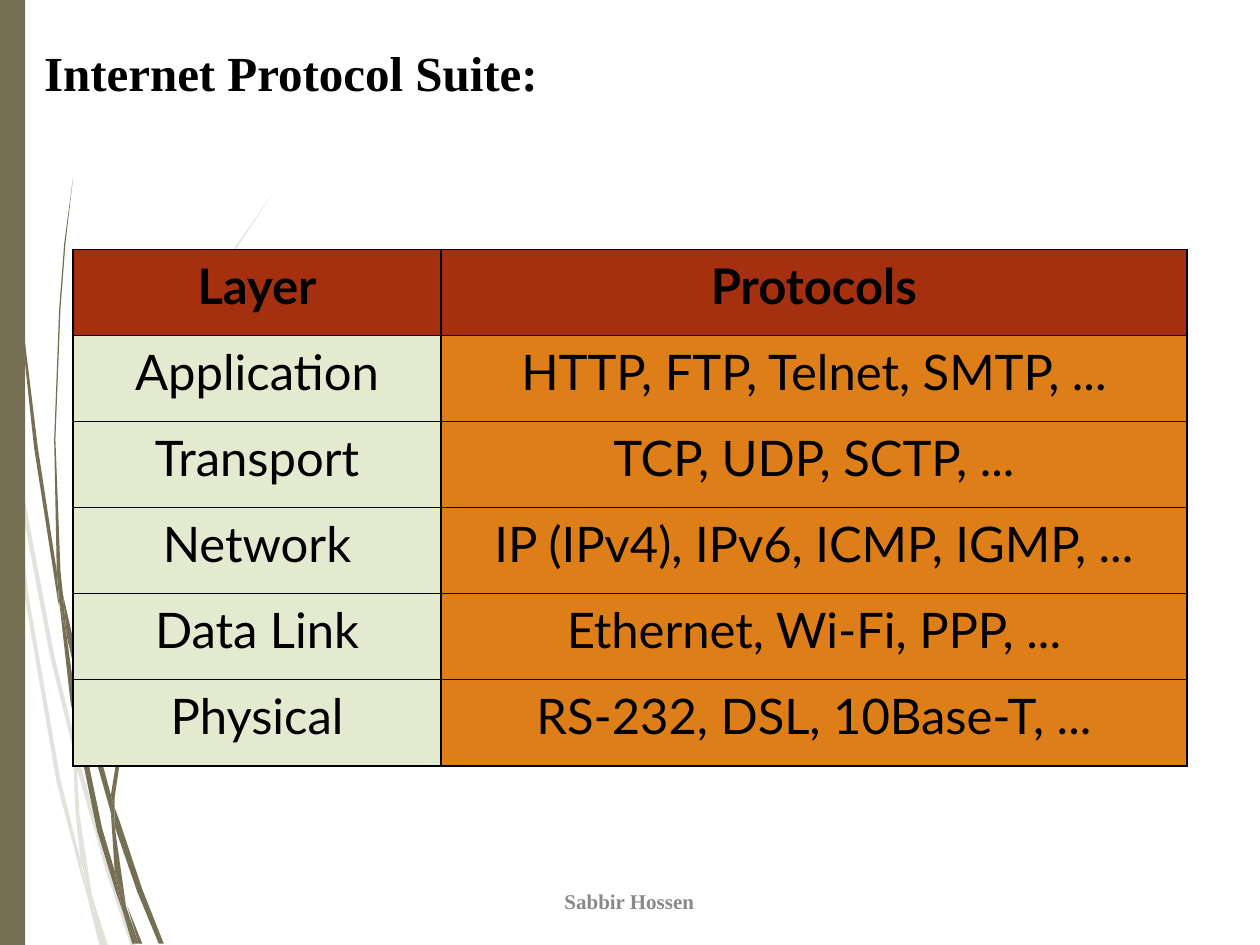
from dataclasses import dataclass
from typing import Any

from lxml import etree
from pptx import Presentation
from pptx.dml.color import RGBColor
from pptx.enum.shapes import MSO_SHAPE
from pptx.enum.text import MSO_ANCHOR, MSO_AUTO_SIZE, PP_ALIGN
from pptx.oxml.ns import qn
from pptx.util import Inches, Pt

RECTANGLE = MSO_SHAPE.RECTANGLE
TOP, MIDDLE = MSO_ANCHOR.TOP, MSO_ANCHOR.MIDDLE
LEFT, CENTER = PP_ALIGN.LEFT, PP_ALIGN.CENTER
NO_AUTOFIT = MSO_AUTO_SIZE.NONE
OLIVE, BLACK, GREY = "766F54", "000000", "898989"
RUST, SAGE, ORANGE = "A53010", "E3EACF", "DE7E18"
SERIF, SANS = "Times New Roman", "Lato"
THIN, THICK = 0.45, 1.08


@dataclass(frozen=True)
class Wisp:
    outline: tuple[tuple[float, float], ...]
    opacity: int = 100


@dataclass(frozen=True)
class LayerRow:
    layer: str
    protocols: str
    layer_fill: str = SAGE
    protocols_fill: str = ORANGE
    bold: bool = False


PALE_OUTLINES = (
    ((0.08, 3.5), (0.06, 3.22), (0, 2.82), (0, 2.99), (0.07, 3.44)),
    ((0.4, 5.22), (0.59, 5.99), (0.59, 5.86), (0.43, 5.2), (0.1, 3.45), (0.12, 3.76)),
    ((0.64, 6.07), (0.61, 5.96), (0.61, 6.1), (0.85, 6.94), (1.04, 7.51), (1.08, 7.51), (0.88, 6.92)),
    ((0.83, 7.51), (0.86, 7.51), (0.73, 7.11)),
    ((0.64, 6.83), (0.48, 6.19), (0.22, 4.69), (0.12, 3.76), (0.08, 3.5), (0.19, 4.7),
     (0.45, 6.21), (0.64, 6.93), (0.7, 7.14), (0.69, 7.07)),
    ((0.58, 5.99), (0.6, 6.46), (0.64, 6.83), (0.67, 6.92), (0.73, 7.11), (0.63, 6.46), (0.61, 6.08)),
    ((0.61, 5.84), (0.76, 4.62), (1.11, 3.49), (1.59, 2.45), (1.87, 1.98), (2.17, 1.53),
     (1.86, 1.97), (1.58, 2.44), (1.1, 3.48), (0.75, 4.61), (0.59, 5.84), (0.61, 5.96)),
    ((0.7, 7.14), (0.79, 7.51), (0.82, 7.51)),
    ((0.61, 6.08), (0.61, 5.96), (0.59, 5.86), (0.58, 5.99)),
    ((0.67, 6.92), (0.65, 6.83), (0.69, 7.07), (0.7, 7.14), (0.82, 7.51), (0.83, 7.51), (0.73, 7.11)),
)
DARK_OUTLINES = (
    ((0.05, 1.1), (0.14, 2.33), (0.27, 3.55), (0.46, 4.77), (0.47, 4.81), (0.45, 4.53),
     (0.3, 3.55), (0.15, 2.32), (0.06, 1.09), (0.04, 0.48), (0.03, 0), (0.02, 0), (0.03, 0.48)),
    ((0.73, 5.92), (0.88, 6.45), (0.88, 6.31), (0.77, 5.9), (0.5, 4.72), (0.53, 5.05)),
    ((0.94, 6.49), (0.91, 6.41), (0.91, 6.56), (1.09, 7.08), (1.26, 7.49), (1.3, 7.49), (1.13, 7.06)),
    ((0.91, 6.91), (0.81, 6.57), (0.6, 5.56), (0.53, 5.05), (0.47, 4.77), (0.56, 5.57),
     (0.77, 6.59), (0.92, 7.08), (0.97, 7.22), (0.96, 7.17)),
    ((0.5, 4.72), (0.48, 4.53), (0.44, 3.49), (0.48, 2.45), (0.52, 1.93), (0.58, 1.41),
     (0.51, 1.93), (0.47, 2.45), (0.43, 3.49), (0.45, 4.49), (0.49, 4.71)),
    ((1.1, 7.49), (1.13, 7.49), (1.01, 7.19)),
    ((0.47, 4.77), (0.53, 5.05), (0.5, 4.72), (0.45, 4.49), (0.45, 4.53)),
    ((0.91, 6.33), (1.03, 5.52), (1.31, 4.76), (1.69, 4.06), (1.91, 3.74), (2.16, 3.44),
     (1.91, 3.73), (1.68, 4.05), (1.29, 4.74), (1.01, 5.51), (0.88, 6.31), (0.91, 6.41)),
    ((0.97, 7.22), (1.05, 7.49), (1.08, 7.49)),
    ((0.88, 6.45), (0.91, 6.91), (0.96, 7.06), (1, 7.19), (0.91, 6.56)),
    ((0.88, 6.45), (0.91, 6.56), (0.91, 6.41), (0.88, 6.31)),
    ((0.96, 7.06), (0.91, 6.91), (0.96, 7.17), (0.97, 7.22), (1.08, 7.49), (1.1, 7.49), (1, 7.19)),
)
WISPS = [Wisp(o, 20) for o in PALE_OUTLINES] + [Wisp(o) for o in DARK_OUTLINES]
SUITE = (
    LayerRow("Layer", "Protocols", RUST, RUST, True),
    LayerRow("Application", "HTTP, FTP, Telnet, SMTP, ..."),
    LayerRow("Transport", "TCP, UDP, SCTP, ..."),
    LayerRow("Network", "IP (IPv4), IPv6, ICMP, IGMP, ..."),
    LayerRow("Data Link", "Ethernet, Wi-Fi, PPP, ..."),
    LayerRow("Physical", "RS-232, DSL, 10Base-T, ..."),
)


def apply(target: Any, values: dict[str, Any]) -> None:
    for name, value in values.items():
        setattr(target, name, value)


def paint(fill: Any, color: str) -> None:
    fill.solid()
    fill.fore_color.rgb = RGBColor.from_string(color)


def write(frame: Any, text: str, font: dict[str, Any], color: str, alignment: Any) -> None:
    frame.text = text
    paragraph = frame.paragraphs[0]
    paragraph.alignment = alignment
    apply(paragraph.font, font)
    paint(paragraph.font.fill, color)


def finish(shape: Any, color: str) -> None:
    shape.shadow.inherit = False
    paint(shape.fill, color)
    shape.line.fill.background()


def draw_wisp(slide: Any, wisp: Wisp) -> None:
    start, *rest = [(Inches(x), Inches(y)) for x, y in wisp.outline]
    builder = slide.shapes.build_freeform(*start)
    builder.add_line_segments(rest, close=True)
    blade = builder.convert_to_shape()
    finish(blade, OLIVE)
    if wisp.opacity < 100:
        tint = blade._element.spPr.find(".//" + qn("a:srgbClr"))
        etree.SubElement(tint, qn("a:alpha"), val=str(wisp.opacity * 1000))


def draw_cell(cell: Any, text: str, color: str, bold: bool, top: float, bottom: float) -> None:
    write(cell.text_frame, text, {"name": SANS, "size": Pt(28), "bold": bold}, BLACK, CENTER)
    properties = cell._tc.get_or_add_tcPr()
    for side, width in {"lnL": THICK, "lnR": THICK, "lnT": top, "lnB": bottom}.items():
        edge = etree.SubElement(properties, qn(f"a:{side}"), w=str(Pt(width)))
        ink = etree.SubElement(edge, qn("a:solidFill"))
        etree.SubElement(ink, qn("a:srgbClr"), val=BLACK)
    paint(cell.fill, color)


def draw_suite(slide: Any) -> None:
    frame = slide.shapes.add_table(len(SUITE), 2, Inches(0.58), Inches(1.98), Inches(8.84), Inches(4.1))
    table = frame.table
    for column, width in zip(table.columns, (2.92, 5.92)):
        column.width = Inches(width)
    for i, row in enumerate(SUITE):
        top = THICK if i == 0 else THIN
        bottom = THICK if i == len(SUITE) - 1 else THIN
        draw_cell(table.cell(i, 0), row.layer, row.layer_fill, row.bold, top, bottom)
        draw_cell(table.cell(i, 1), row.protocols, row.protocols_fill, row.bold, top, bottom)


def main() -> None:
    deck = Presentation()
    apply(deck, {"slide_width": Inches(10), "slide_height": Inches(7.5)})
    slide = deck.slides.add_slide(deck.slide_layouts[5])
    for wisp in WISPS:
        draw_wisp(slide, wisp)
    finish(slide.shapes.add_shape(RECTANGLE, 0, 0, Inches(0.2), Inches(7.5)), OLIVE)
    heading = slide.shapes.title
    apply(heading, {"left": Inches(0.25), "top": Inches(0.25), "width": Inches(9.75), "height": Inches(7.17)})
    apply(heading.text_frame, {"vertical_anchor": TOP, "margin_top": Inches(0.09), "auto_size": NO_AUTOFIT})
    write(heading.text_frame, "Internet Protocol Suite:", {"name": SERIF, "size": Pt(28), "bold": True}, BLACK, LEFT)
    draw_suite(slide)
    author = slide.shapes.add_textbox(Inches(3.31), Inches(6.95), Inches(3.37), Inches(0.4))
    apply(author.text_frame, {"vertical_anchor": MIDDLE, "word_wrap": True})
    write(author.text_frame, "Sabbir Hossen", {"name": SERIF, "size": Pt(12), "bold": True}, GREY, CENTER)
    deck.save("out.pptx")


if __name__ == "__main__":
    main()
